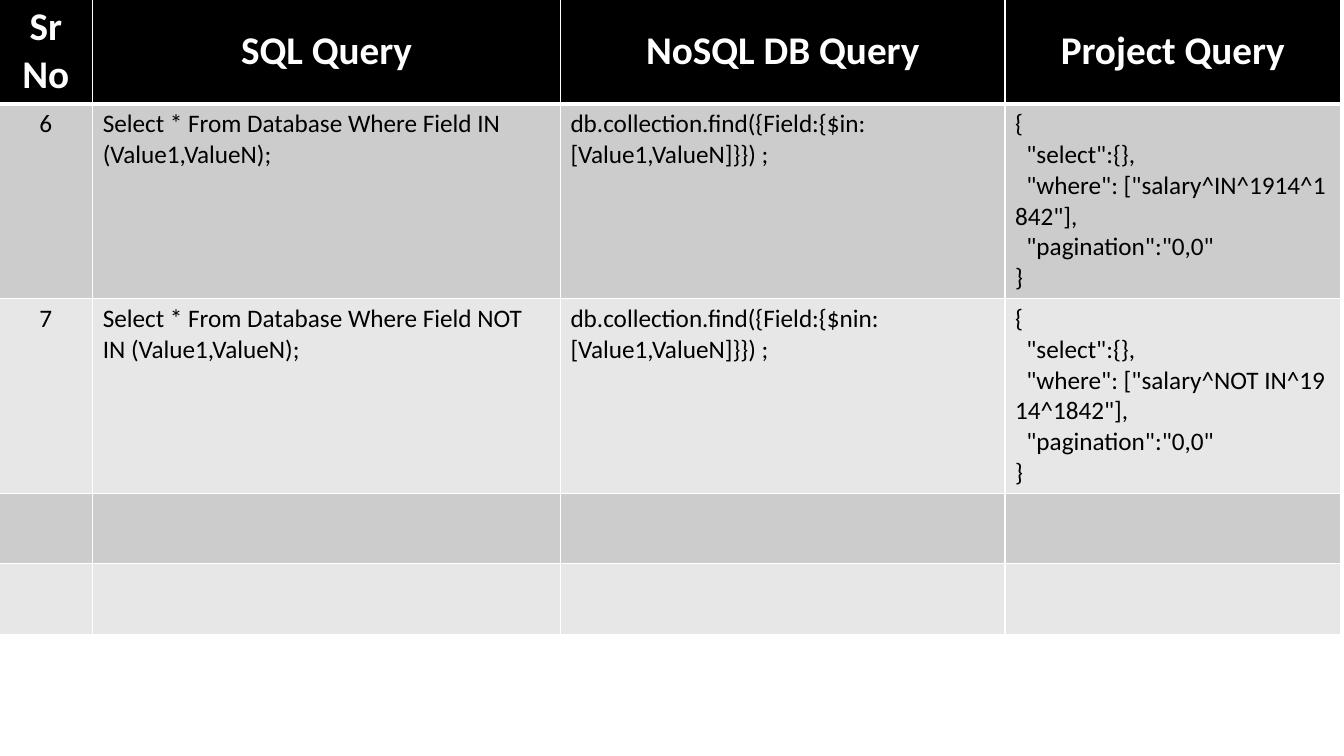
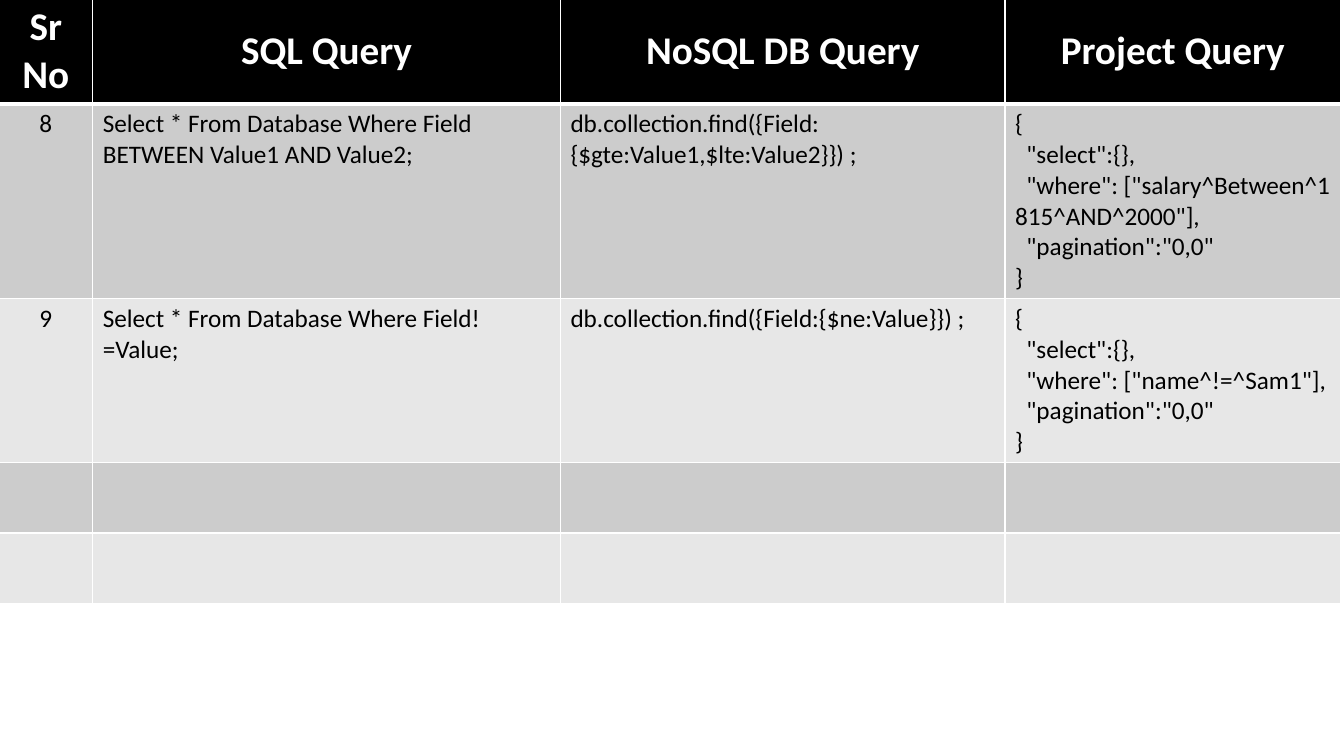
"""Build two slides that compare queries in SQL, a document store and the project."""
from lxml.etree import SubElement
from pptx import Presentation
from pptx.dml.color import RGBColor
from pptx.enum.text import MSO_ANCHOR as Anchor, PP_ALIGN as Align
from pptx.oxml.ns import qn
from pptx.util import Pt

HEADS = ["Sr No", "SQL Query", "NoSQL DB Query", "Project Query"]
SLIDES = [
    [
        ("6", "Select * From Database Where Field IN (Value1,ValueN);",
         "db.collection.find({Field:{$in:[Value1,ValueN]}}) ;",
         "salary^IN^1914^1842", 139),
        ("7", "Select * From Database Where Field NOT IN (Value1,ValueN);",
         "db.collection.find({Field:{$nin:[Value1,ValueN]}}) ;",
         "salary^NOT IN^1914^1842", 139),
    ],
    [
        ("8", "Select * From Database Where Field BETWEEN Value1 AND Value2;",
         "db.collection.find({Field:{$gte:Value1,$lte:Value2}}) ;",
         "salary^Between^1815^AND^2000", 139),
        ("9", "Select * From Database Where Field!=Value;",
         "db.collection.find({Field:{$ne:Value}}) ;",
         "name^!=^Sam1", 117),
    ],
]
BLACK = RGBColor(0x00, 0x00, 0x00)
WHITE = RGBColor(0xFF, 0xFF, 0xFF)
BANDS = [RGBColor(0xCC, 0xCC, 0xCC), RGBColor(0xE7, 0xE7, 0xE7)]
FONT = "Calibri"
LEFT, TOP = -0.72, -1.44
COLS = [66.96, 334.08, 317.52, 239.76]
HEAD_H, SPARE_H, SPARES = 75.6, 50.4, 2
INDENT = 8.14
HARD = chr(160)


def project(cond):
    """Return the lines of a project query, with spaces that do not break."""
    inner = ['"select":{},', f'"where": ["{cond}"],', '"pagination":"0,0"']
    return ["{", *(line.replace(" ", HARD) for line in inner), "}"]


def border(cell, top, bottom):
    """Draw white lines on the four sides of a cell."""
    props = cell._tc.get_or_add_tcPr()
    for side, width in zip("LRTB", (1, 1, top, bottom)):
        line = SubElement(props, qn(f"a:ln{side}"), w=str(Pt(width)))
        fill = SubElement(line, qn("a:solidFill"))
        SubElement(fill, qn("a:srgbClr"), val=str(WHITE))


def write(cell, lines, size, color, bold, align):
    """Put lines in a cell, one paragraph each."""
    frame = cell.text_frame
    for i, line in enumerate(lines):
        para = frame.add_paragraph() if i else frame.paragraphs[0]
        para.alignment = align
        if 0 < i < len(lines) - 1:
            para._p.get_or_add_pPr().set("indent", str(Pt(INDENT)))
        run = para.add_run()
        run.text = line
        font = run.font
        font.name, font.size, font.bold = FONT, Pt(size), bold
        font.color.rgb = color


def build(deck, items):
    """Add one slide that holds the query table."""
    slide = deck.slides.add_slide(deck.slide_layouts[6])
    highs = [HEAD_H, *(item[-1] for item in items), *[SPARE_H] * SPARES]
    texts = [[[head] for head in HEADS]]
    texts += [[[num], [sql], [find], project(cond)]
              for num, sql, find, cond, _ in items]
    texts += [[[]] * len(COLS)] * SPARES
    table = slide.shapes.add_table(
        len(highs), len(COLS), Pt(LEFT), Pt(TOP),
        Pt(sum(COLS)), Pt(sum(highs))).table
    for col, width in zip(table.columns, COLS):
        col.width = Pt(width)
    for r, (row, high, line) in enumerate(zip(table.rows, highs, texts)):
        row.height = Pt(high)
        head = r == 0
        for c, (cell, text) in enumerate(zip(row.cells, line)):
            border(cell, 3 if r == 1 else 1, 3 if head else 1)
            cell.fill.solid()
            cell.fill.fore_color.rgb = BLACK if head else BANDS[(r - 1) % 2]
            cell.vertical_anchor = Anchor.MIDDLE if head else Anchor.TOP
            write(cell, text, 28 if head else 18, WHITE if head else BLACK,
                  head, Align.CENTER if head or c == 0 else Align.LEFT)


def main():
    """Build and save the deck."""
    deck = Presentation()
    deck.slide_width, deck.slide_height = Pt(960), Pt(540)
    for items in SLIDES:
        build(deck, items)
    deck.save("out.pptx")


if __name__ == "__main__":
    main()
